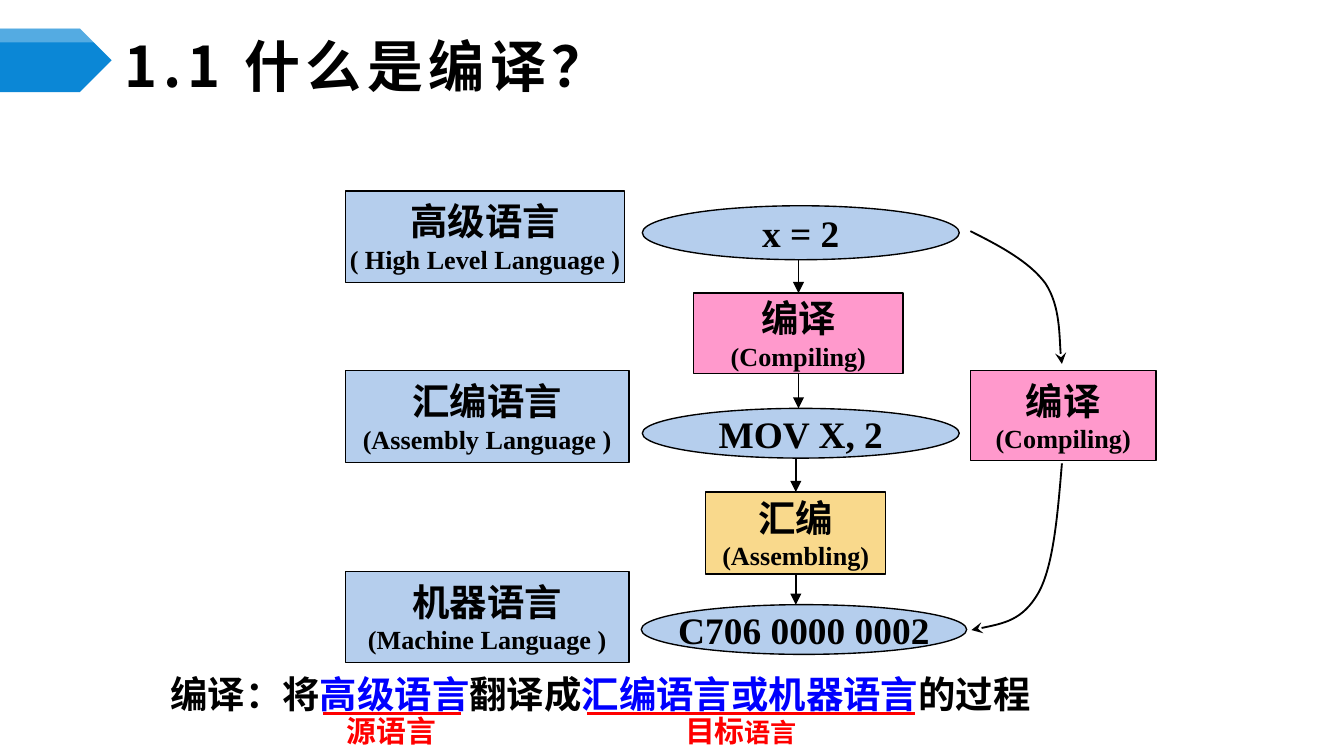
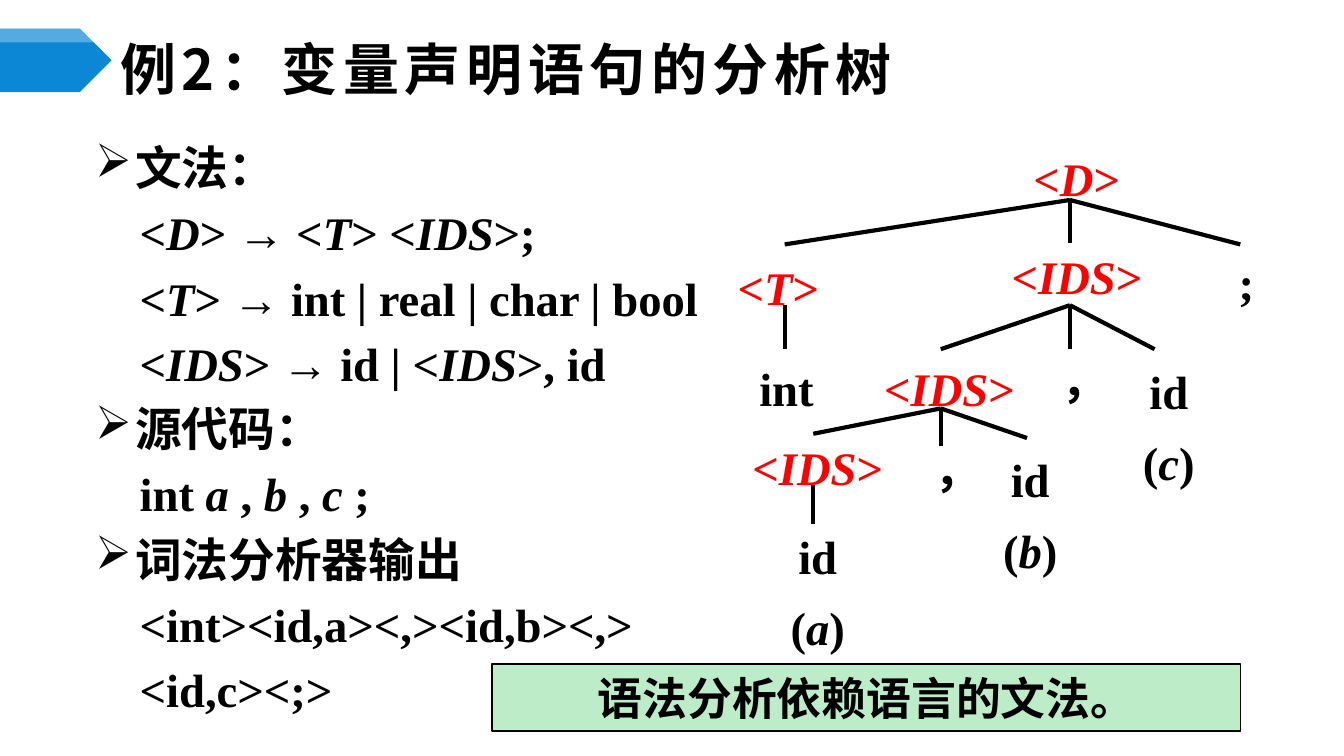
from lxml.etree import SubElement
from pptx import Presentation
from pptx.dml.color import RGBColor
from pptx.enum.shapes import MSO_CONNECTOR as Link, MSO_SHAPE as Shape
from pptx.enum.text import MSO_ANCHOR as Anchor, MSO_AUTO_SIZE as AutoSize, PP_ALIGN as Align
from pptx.oxml.ns import qn
from pptx.util import Cm, Pt

BLACK = RGBColor(0x00, 0x00, 0x00)
WHITE = RGBColor(0xFF, 0xFF, 0xFF)
RED = RGBColor(0xFF, 0x00, 0x00)
BLUE = RGBColor(0x00, 0x00, 0xFF)
BANNER_BLUE = RGBColor(0x0B, 0x87, 0xD6)
PALE_BLUE = RGBColor(0xB5, 0xCE, 0xED)
PINK = RGBColor(0xFF, 0x99, 0xCC)
AMBER = RGBColor(0xF9, 0xD9, 0x8C)
MINT = RGBColor(0xBD, 0xEC, 0xC9)
SANS, SERIF = "Noto Sans CJK SC", "Times New Roman"

# All lengths below are centimetres: left, top, width, height.
COMPILE_TITLE = ("1.1 什么是编译？", (2.11, 0.74, 22.02, 0.99), 0.25)
TREE_TITLE = ("例2：变量声明语句的分析树", (1.78, -0.03, 22.86, 2.62), 0.49)

LANGUAGES = [
    ("高级语言", "( High Level Language )", (6.53, 3.61, 5.28, 1.73)),
    ("汇编语言", "(Assembly Language )", (6.53, 7.01, 5.36, 1.73)),
    ("机器语言", "(Machine Language )", (6.53, 10.8, 5.36, 1.73)),
]
PROGRAMS = [
    ("x = 2", (12.14, 3.89, 5.99, 1.02)),
    ("MOV X, 2", (12.14, 7.72, 5.99, 0.94)),
    ("C706 0000 0002", (12.12, 11.43, 6.15, 0.94)),
]
STEPS = [
    ("编译", "(Compiling)", (13.11, 5.54, 3.96, 1.52), PINK),
    ("汇编", "(Assembling)", (13.34, 9.3, 3.4, 1.55), AMBER),
]
DIRECT_STEP = ("编译", "(Compiling)", (18.34, 7.01, 3.51, 1.7), PINK)
DIRECT_ARROWS = [
    [(18.34, 4.37), (18.9, 4.65), (19.46, 4.95), (19.76, 5.36),
     (20.04, 5.79), (20.02, 6.63), (20.07, 6.88)],
    [(20.07, 8.76), (19.99, 9.73), (19.91, 10.69), (19.63, 11.2),
     (19.33, 11.73), (18.85, 11.81), (18.36, 11.91)],
]
DEFINITION = [
    ("编译：将", BLACK), ("高级语言", BLUE), ("翻译成", BLACK),
    ("汇编语言或机器语言", BLUE), ("的过程", BLACK),
]
DEFINITION_BOX = (2.97, 12.57, 16.89, 1.12)
UNDERLINE_Y = 13.49
TERMS = [  # underline from, underline to, label runs, label box
    (6.1, 8.71, [("源语言", 16)], (6.3, 13.34, 2.24, 0.94)),
    (11.1, 17.3, [("目标", 16), ("语言", 14)], (12.7, 13.34, 2.64, 0.94)),
]

# Text between asterisks is italic.
GRAMMAR = [
    ("文法：", ["<*D*> → <*T*> <*IDS*>;",
              "<*T*> → int | real | char | bool",
              "<*IDS*> → id | <*IDS*>, id"]),
    ("源代码：", ["int* a *, *b* , *c* ;"]),
    ("词法分析器输出", ["<int><id,a><,><id,b><,>", "<id,c><;>"]),
]
GRAMMAR_BOX = (1.55, 2.5, 22.86, 11.24)
TREE_LABELS = [  # left, top, width, lines, colour
    (19.28, 2.51, 2.18, ["<*D*>"], RED),
    (13.69, 4.57, 2.08, ["<*T*>"], RED),
    (18.87, 4.37, 3.02, ["<*IDS*>"], RED),
    (23.16, 4.7, 1.83, [";"], BLACK),
    (14.1, 6.48, 1.55, ["int"], BLACK),
    (16.46, 6.48, 3.02, ["<*IDS*>"], RED),
    (19.81, 6.32, 1.42, ["，"], BLACK),
    (21.34, 6.53, 1.5, ["id", "(*c*)"], BLACK),
    (13.97, 7.98, 3.02, ["<*IDS*>"], RED),
    (17.42, 8.0, 1.42, ["，"], BLACK),
    (18.67, 8.2, 1.6, ["id", "(*b*)"], BLACK),
    (14.68, 9.65, 1.55, ["id", "(*a*)"], BLACK),
]
TREE_BRANCHES = {  # parent: children
    (20.22, 3.78): [(14.83, 4.62), (20.22, 4.6), (23.44, 4.62)],
    (14.83, 5.77): [(14.83, 6.6)],
    (20.22, 5.77): [(17.78, 6.6), (20.22, 6.6), (21.82, 6.6)],
    (17.78, 7.72): [(15.37, 8.2), (17.78, 8.43), (19.41, 8.28)],
    (15.37, 9.17): [(15.37, 9.91)],
}
CONCLUSION = ("语法分析依赖语言的文法。", (9.3, 12.55, 14.15, 1.27))


def lengths(values):
    return [Cm(value) for value in values]


def add_run(paragraph, text, size, color=BLACK, font_name=SERIF, italic=None):
    run = paragraph.add_run()
    run.text = text
    font = run.font
    font.size, font.bold, font.italic, font.name = Pt(size), True, italic, font_name
    font.color.rgb = color
    SubElement(font._element, qn("a:ea"), typeface=SANS)
    return run


def add_marked_runs(paragraph, text, size, color=BLACK):
    """Add runs, with italics for what stands between asterisks."""
    for index, part in enumerate(text.split("*")):
        if part:
            add_run(paragraph, part, size, color, italic=index % 2 == 1)


def paragraphs_for(frame, items):
    """Pair each item with its own paragraph of the text frame."""
    for index, item in enumerate(items):
        yield frame.add_paragraph() if index else frame.paragraphs[0], item


def add_textbox(slide, box, wrap=False):
    frame = slide.shapes.add_textbox(*lengths(box)).text_frame
    frame.word_wrap = wrap
    frame.auto_size = AutoSize.NONE if wrap else AutoSize.SHAPE_TO_FIT_TEXT
    return frame


def add_filled_shape(slide, kind, box, fill, outlined=True):
    shape = slide.shapes.add_shape(kind, *lengths(box))
    shape.shadow.inherit = False
    shape.fill.solid()
    shape.fill.fore_color.rgb = fill
    if outlined:
        shape.line.color.rgb = BLACK
        shape.line.width = Pt(0.75)
    else:
        shape.line.fill.background()
    return shape


def add_captioned_shape(slide, kind, box, fill, lines, font_name=SERIF):
    """Add a shape with centred lines given as (text, size)."""
    shape = add_filled_shape(slide, kind, box, fill)
    frame = shape.text_frame
    frame.word_wrap = False
    frame.vertical_anchor = Anchor.MIDDLE
    for paragraph, (text, size) in paragraphs_for(frame, lines):
        paragraph.alignment = Align.CENTER
        add_run(paragraph, text, size, font_name=font_name)
    return shape


def style_line(shape, color, width, arrowhead=None):
    shape.line.color.rgb = color
    shape.line.width = Pt(width)
    if arrowhead:
        outline = shape.element.spPr.find(qn("a:ln"))
        SubElement(outline, qn("a:tailEnd"), type=arrowhead)


def add_line(slide, start, end, color, width, arrowhead=None):
    line = slide.shapes.add_connector(Link.STRAIGHT, *lengths(start + end))
    style_line(line, color, width, arrowhead)
    SubElement(line.element.spPr, qn("a:effectLst"))
    return line


def add_curved_arrow(slide, points):
    """Draw a cubic curve: a start, then three points for each segment."""
    start, *others = [tuple(lengths(point)) for point in points]
    builder = slide.shapes.build_freeform(*start)
    builder.add_line_segments(others, close=False)
    curve = builder.convert_to_shape()
    outline = next(curve.element.iter(qn("a:path")))
    segments = outline.findall(qn("a:lnTo"))
    for index in range(0, len(segments), 3):
        bezier = SubElement(outline, qn("a:cubicBezTo"))
        for segment in segments[index:index + 3]:
            bezier.append(segment[0])
            outline.remove(segment)
    curve.fill.background()
    style_line(curve, BLACK, 1, "stealth")
    curve.shadow.inherit = False


def add_titled_slide(presentation, text, box, left_margin):
    slide = presentation.slides.add_slide(presentation.slide_layouts[5])
    add_filled_shape(slide, Shape.PENTAGON, (0, 0.54, 2.11, 1.2), BANNER_BLUE, outlined=False)
    gloss = add_filled_shape(slide, Shape.PENTAGON, (0, 0.54, 2.11, 0.26), WHITE, outlined=False)
    SubElement(next(gloss.element.spPr.iter(qn("a:srgbClr"))), qn("a:alpha"), val="30000")

    title = slide.shapes.title
    title.left, title.top, title.width, title.height = lengths(box)
    frame = title.text_frame
    frame.auto_size = AutoSize.NONE
    frame.vertical_anchor = Anchor.MIDDLE
    frame.margin_left = Cm(left_margin)
    paragraph = frame.paragraphs[0]
    paragraph.alignment = Align.LEFT
    run = add_run(paragraph, text, 30, font_name=SANS)
    run.font._element.set("spc", "300")
    return slide


def add_step(slide, name, english, box, fill):
    return add_captioned_shape(slide, Shape.RECTANGLE, box, fill, [(name, 20), (english, 14)])


def build_compile_slide(presentation):
    slide = add_titled_slide(presentation, *COMPILE_TITLE)
    for name, english, box in LANGUAGES:
        add_step(slide, name, english, box, PALE_BLUE)
    for code, box in PROGRAMS:
        add_captioned_shape(slide, Shape.OVAL, box, PALE_BLUE, [(code, 20)])

    for index, step in enumerate(STEPS):
        rectangle = add_step(slide, *step)
        left, top, width, height = step[2]
        center = left + width / 2
        source, target = PROGRAMS[index][1], PROGRAMS[index + 1][1]
        arrow_in = add_line(slide, (center, source[1] + source[3]), (center, top),
                            BLACK, 1, "triangle")
        arrow_in.end_connect(rectangle, 0)
        arrow_out = add_line(slide, (center, top + height), (center, target[1]),
                             BLACK, 1, "triangle")
        arrow_out.begin_connect(rectangle, 2)

    add_step(slide, *DIRECT_STEP)
    for points in DIRECT_ARROWS:
        add_curved_arrow(slide, points)

    paragraph = add_textbox(slide, DEFINITION_BOX).paragraphs[0]
    for text, color in DEFINITION:
        add_run(paragraph, text, 20, color, SANS)
    for start, end, runs, box in TERMS:
        add_line(slide, (start, UNDERLINE_Y), (end, UNDERLINE_Y), RED, 1.5)
        paragraph = add_textbox(slide, box).paragraphs[0]
        for text, size in runs:
            add_run(paragraph, text, size, RED)


def add_grammar(slide):
    lines = []
    for heading, rules in GRAMMAR:
        lines += [(heading, True)] + [(rule, False) for rule in rules]
    frame = add_textbox(slide, GRAMMAR_BOX, wrap=True)
    for index, (paragraph, (text, is_heading)) in enumerate(paragraphs_for(frame, lines)):
        properties = paragraph._p.get_or_add_pPr()
        properties.set("marL", str(Cm(0.76 if is_heading else 1.6)))
        properties.set("indent", str(Cm(-0.76)))
        if is_heading:
            SubElement(properties, qn("a:buChar"), char="➢")
            add_run(paragraph, text, 25, font_name=SANS)
        else:
            SubElement(properties, qn("a:buNone"))
            paragraph.level = 1
            add_marked_runs(paragraph, text, 25)
        paragraph.line_spacing = Pt(30)
        if index:
            paragraph.space_before = Pt(5)


def build_tree_slide(presentation):
    slide = add_titled_slide(presentation, *TREE_TITLE)
    add_grammar(slide)
    for parent, children in TREE_BRANCHES.items():
        for child in children:
            add_line(slide, parent, child, BLACK, 2.25)
    for left, top, width, lines, color in TREE_LABELS:
        frame = add_textbox(slide, (left, top, width, 1.35 if len(lines) == 1 else 2.82))
        frame.margin_top = Cm(0.22)
        for index, (paragraph, text) in enumerate(paragraphs_for(frame, lines)):
            paragraph.line_spacing = 0.9 if text == ";" else 1.1
            if len(lines) > 1:
                paragraph.alignment = Align.CENTER
            if index:
                paragraph.space_before = Pt(5)
            add_marked_runs(paragraph, text, 25, color)
    text, box = CONCLUSION
    add_captioned_shape(slide, Shape.RECTANGLE, box, MINT, [(text, 24)], SANS)


def main():
    presentation = Presentation()
    presentation.slide_width, presentation.slide_height = Cm(25.4), Cm(14.29)
    build_compile_slide(presentation)
    build_tree_slide(presentation)
    presentation.save("out.pptx")


if __name__ == "__main__":
    main()
